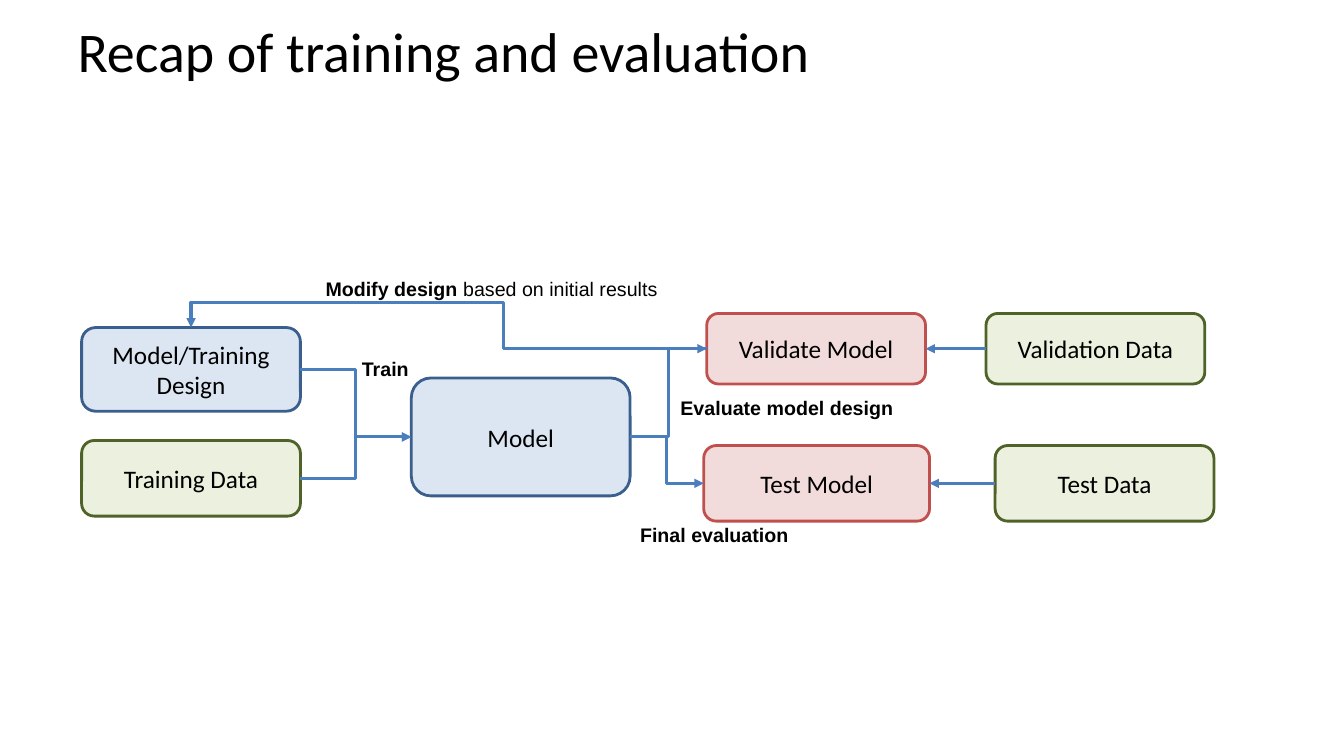
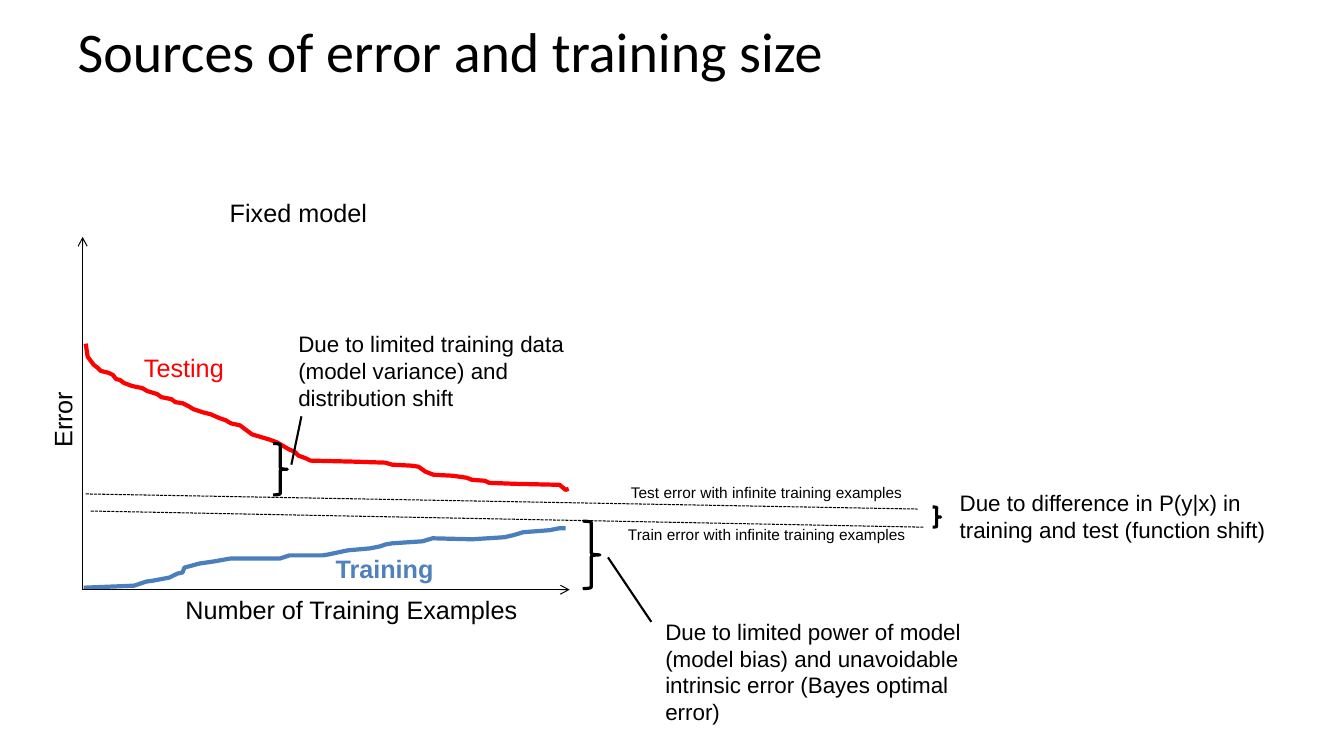
"""Build two slides on model training, evaluation and sources of error."""
from dataclasses import dataclass

from lxml.etree import SubElement
from pptx import Presentation
from pptx.dml.color import RGBColor
from pptx.enum.dml import MSO_LINE
from pptx.enum.shapes import MSO_CONNECTOR, MSO_SHAPE
from pptx.enum.text import MSO_ANCHOR, MSO_AUTO_SIZE, PP_ALIGN
from pptx.oxml.ns import qn
from pptx.util import Inches, Pt


@dataclass(frozen=True)
class Theme:
    """Colours, fonts and type sizes shared by the slides."""
    black: str = "000000"
    red: str = "FF0000"
    flow: str = "4B7EBC"
    training: str = "4F81BD"
    model: tuple = ("DCE6F2", "3A5F8C")
    data: tuple = ("EBF1DE", "4F6228")
    check: tuple = ("F2DCDB", "C0504D")
    head: str = "Calibri"
    body: str = "Arial"
    title: int = 40
    large: int = 18
    note: int = 16
    label: int = 14
    small: int = 11


THEME = Theme()
TOP, LEFT, RIGHT = 0, 1, 3

TESTING_CURVE = [
    (0.85, 3.41), (0.87, 3.54), (0.93, 3.62), (0.97, 3.65), (1, 3.68), (1.08, 3.7),
    (1.12, 3.72), (1.15, 3.76), (1.19, 3.77), (1.23, 3.8), (1.31, 3.83), (1.41, 3.85),
    (1.46, 3.88), (1.56, 3.91), (1.6, 3.94), (1.7, 3.96), (1.74, 3.99), (1.81, 4),
    (1.87, 4.03), (1.92, 4.06), (2.01, 4.09), (2.09, 4.11), (2.18, 4.15), (2.24, 4.17),
    (2.29, 4.2), (2.38, 4.22), (2.46, 4.28), (2.5, 4.31), (2.67, 4.36), (2.75, 4.39),
    (2.87, 4.46), (2.92, 4.48), (2.96, 4.52), (3.04, 4.55), (3.08, 4.57), (3.5, 4.58),
    (3.82, 4.59), (3.89, 4.61), (4.08, 4.62), (4.15, 4.63), (4.22, 4.68), (4.3, 4.71),
    (4.49, 4.72), (4.63, 4.74), (4.68, 4.76), (4.81, 4.77), (4.85, 4.79), (5.1, 4.8),
    (5.55, 4.81), (5.61, 4.86), (5.64, 4.85),
]
TRAINING_CURVE = [
    (0.83, 5.83), (1.33, 5.81), (1.45, 5.77), (1.52, 5.76), (1.68, 5.73), (1.76, 5.69),
    (1.81, 5.68), (1.83, 5.63), (1.87, 5.62), (1.98, 5.59), (2.12, 5.57), (2.29, 5.54),
    (2.78, 5.54), (2.87, 5.51), (3.2, 5.51), (3.26, 5.5), (3.4, 5.47), (3.45, 5.46),
    (3.67, 5.44), (3.77, 5.42), (3.83, 5.4), (3.89, 5.39), (4.19, 5.37), (4.29, 5.34),
    (4.68, 5.35), (5, 5.33), (5.09, 5.31), (5.19, 5.28), (5.45, 5.26), (5.55, 5.24),
    (5.61, 5.24),
]


def rgb(code):
    """Turn a hex code into a colour."""
    return RGBColor.from_string(code)


def set_font(font, size, color=THEME.black, name=THEME.body):
    """Set size, colour and typeface."""
    font.size, font.name = Pt(size), name
    font.color.rgb = rgb(color)


def set_line(line, color, width):
    """Set the colour and width of an outline."""
    line.color.rgb, line.width = rgb(color), Pt(width)


def add_slide(prs, title):
    """Add a slide with a left-aligned title."""
    s = prs.slides.add_slide(prs.slide_layouts[5])
    sp = s.shapes.title
    sp.left, sp.top, sp.width, sp.height = (Inches(v) for v in (0.67, 0, 12, 1))
    tf = sp.text_frame
    tf.text, tf.vertical_anchor = title, MSO_ANCHOR.MIDDLE
    p = tf.paragraphs[0]
    p.alignment = PP_ALIGN.LEFT
    set_font(p.font, THEME.title, name=THEME.head)
    return s


def add_text(s, text, box, size, color=THEME.black, bold=False, wrap=False, rest=""):
    """Add a text box, with an optional plain run after the first."""
    sp = s.shapes.add_textbox(*(Inches(v) for v in box))
    tf = sp.text_frame
    tf.word_wrap, tf.auto_size = wrap, MSO_AUTO_SIZE.SHAPE_TO_FIT_TEXT
    p = tf.paragraphs[0]
    set_font(p.font, size, color)
    r = p.add_run()
    r.text, r.font.bold = text, bold
    if rest:
        p.add_run().text = rest
    return sp


def add_shape(s, kind, box, color, width):
    """Add an unfilled, shadowless outline shape."""
    sp = s.shapes.add_shape(kind, *(Inches(v) for v in box))
    sp.shadow.inherit = False
    sp.fill.background()
    set_line(sp.line, color, width)
    return sp


def add_node(s, text, box, colors):
    """Add a rounded box of the flow chart."""
    fill, line = colors
    sp = add_shape(s, MSO_SHAPE.ROUNDED_RECTANGLE, box, line, 2)
    sp.fill.solid()
    sp.fill.fore_color.rgb = rgb(fill)
    tf = sp.text_frame
    tf.text, tf.word_wrap, tf.vertical_anchor = text, True, MSO_ANCHOR.MIDDLE
    p = tf.paragraphs[0]
    p.alignment = PP_ALIGN.CENTER
    set_font(p.font, THEME.large, name=THEME.head)
    return sp


def add_line(s, start, end, color=THEME.black, width=0.75, tail=None, kind=MSO_CONNECTOR.STRAIGHT):
    """Add a connector, with an optional arrowhead at its end."""
    c = s.shapes.add_connector(kind, *(Inches(v) for v in (*start, *end)))
    set_line(c.line, color, width)
    if tail:
        SubElement(c.line._get_or_add_ln(), qn("a:tailEnd"), type=tail)
    SubElement(c._element.spPr, qn("a:effectLst"))
    return c


def add_flow(s, source, source_site, target, target_site, kind=MSO_CONNECTOR.ELBOW):
    """Glue an arrow between two flow chart boxes."""
    c = add_line(s, (0, 0), (1, 1), THEME.flow, 2.25, "triangle", kind)
    c.begin_connect(source, source_site)
    c.end_connect(target, target_site)
    return c


def add_feedback(s, source, target):
    """Add the arrow that loops over the chart back to the design box."""
    c = add_flow(s, source, LEFT, target, TOP)
    xfrm = c._element.spPr.find(qn("a:xfrm"))
    for flip in ("flipH", "flipV"):
        xfrm.attrib.pop(flip, None)
    xfrm.set("rot", "10800000")
    geom = c._element.spPr.find(qn("a:prstGeom"))
    geom.set("prst", "bentConnector4")
    guides = geom.find(qn("a:avLst"))
    for name, value in (("adj1", 39400), ("adj2", 220400)):
        SubElement(guides, qn("a:gd"), name=name, fmla=f"val {value}")


def add_curve(s, points, color):
    """Draw an error curve through the points."""
    start, *rest = [(Inches(x), Inches(y)) for x, y in points]
    builder = s.shapes.build_freeform(*start)
    builder.add_line_segments(rest, close=False)
    sp = builder.convert_to_shape()
    sp.shadow.inherit = False
    sp.fill.background()
    set_line(sp.line, color, 3)


def build_recap(prs):
    """Build the flow chart of training and evaluation."""
    s = add_slide(prs, "Recap of training and evaluation")
    training = add_node(s, "Training Data", (0.81, 4.37, 2.17, 0.75), THEME.data)
    design = add_node(s, "Model/Training Design", (0.81, 3.25, 2.17, 0.83), THEME.model)
    model = add_node(s, "Model", (4.08, 3.75, 2.17, 1.17), THEME.model)
    validate = add_node(s, "Validate Model", (7.01, 3.11, 2.17, 0.7), THEME.check)
    test = add_node(s, "Test Model", (6.98, 4.42, 2.24, 0.75), THEME.check)
    validation_data = add_node(s, "Validation Data", (9.78, 3.11, 2.17, 0.7), THEME.data)
    test_data = add_node(s, "Test Data", (9.87, 4.42, 2.17, 0.75), THEME.data)

    for source, target in ((design, model), (training, model), (model, validate), (model, test)):
        add_flow(s, source, RIGHT, target, LEFT)
    for source, target in ((validation_data, validate), (test_data, test)):
        add_flow(s, source, LEFT, target, RIGHT, MSO_CONNECTOR.STRAIGHT)
    add_feedback(s, validate, design)

    for text, rest, box in (
        ("Modify design ", "based on initial results", (3.13, 2.7, 3.51, 0.34)),
        ("Train", "", (3.49, 3.49, 0.67, 0.34)),
        ("Evaluate model design", "", (6.65, 3.88, 2.32, 0.34)),
        ("Final evaluation", "", (6.25, 5.14, 1.68, 0.34)),
    ):
        add_text(s, text, box, THEME.label, bold=True, rest=rest)


def build_errors(prs):
    """Build the sketch of error against training size."""
    s = add_slide(prs, "Sources of error and training size")
    add_curve(s, TESTING_CURVE, THEME.red)
    add_curve(s, TRAINING_CURVE, THEME.flow)
    add_text(s, "Testing", (1.33, 3.45, 1, 0.4), THEME.large, THEME.red)
    add_text(s, "Training", (3.23, 5.44, 1.18, 0.4), THEME.large, THEME.training, bold=True)

    origin = (0.82, 5.85)
    for end in ((5.65, 5.85), (0.82, 2.35)):
        add_line(s, origin, end, tail="arrow")
    add_text(s, "Number of Training Examples", (1.74, 5.85, 3.53, 0.4), THEME.large)
    add_text(s, "Error", (0.24, 3.96, 0.76, 0.4), THEME.large).rotation = 270
    add_text(s, "Fixed model", (2.18, 1.91, 1.58, 0.4), THEME.large)

    for start, end in (((0.85, 4.9), (9.1, 5.05)), ((0.9, 5.07), (9.16, 5.23))):
        add_line(s, start, end).line.dash_style = MSO_LINE.SQUARE_DOT
    for name, box in (("Test", (6.16, 4.74, 2.93, 0.29)), ("Train", (6.13, 5.16, 3.01, 0.29))):
        add_text(s, f"{name} error with infinite training examples", box, THEME.small)

    for box in ((9.25, 5.03, 0.08, 0.2), (2.71, 4.4, 0.14, 0.51), (5.78, 5.17, 0.17, 0.67)):
        add_shape(s, MSO_SHAPE.RIGHT_BRACE, box, THEME.black, 2.25)
    for start, end in (((6.46, 6.17), (6.03, 5.53)), ((2.89, 4.61), (2.99, 4.13))):
        add_line(s, start, end, width=1.5)
    for text, left, top, height in (
        ("Due to difference in P(y|x) in training and test (function shift)", 9.42, 4.8, 0.64),
        ("Due to limited training data (model variance) and distribution shift", 2.86, 3.23, 0.91),
        ("Due to limited power of model (model bias) and unavoidable intrinsic error "
         "(Bayes optimal error)", 6.5, 6.08, 1.18),
    ):
        add_text(s, text, (left, top, 3.41, height), THEME.note, wrap=True)


def main():
    """Build and save the presentation."""
    prs = Presentation()
    prs.slide_width, prs.slide_height = Inches(13.33), Inches(7.5)
    build_recap(prs)
    build_errors(prs)
    prs.save("out.pptx")


if __name__ == "__main__":
    main()
